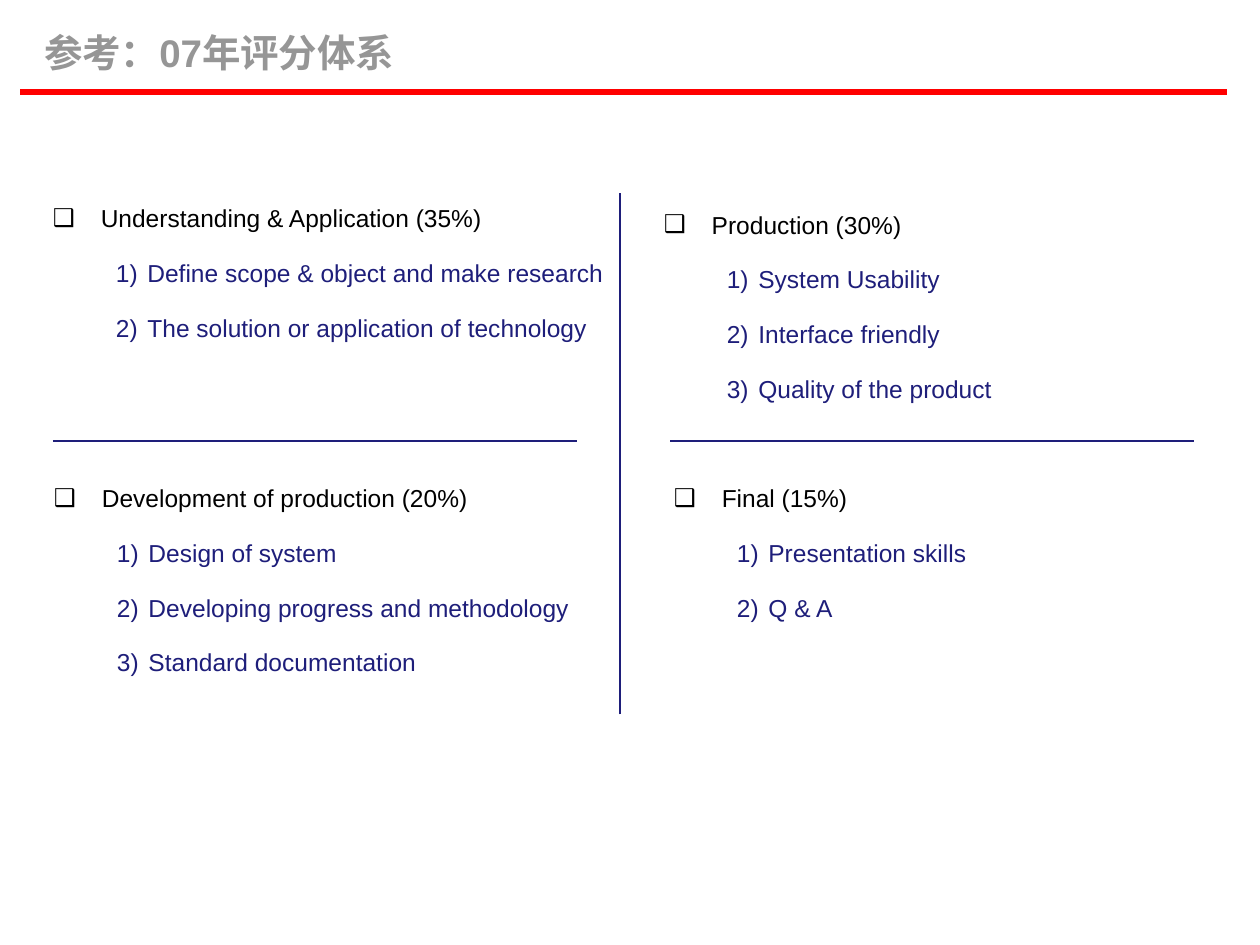
"""Build the slide that lists the four parts of the 2007 scoring system."""
import lxml.etree
import pptx
import pptx.dml.color
import pptx.enum.shapes
import pptx.enum.text
import pptx.oxml.ns
import pptx.util
from pptx.util import Inches

COLORS = {"title": "969696", "rule": "FF0000", "heading": "000000", "item": "1E1E7A"}
FONT = "Arial"
BOX_INSETS = (0.1, 0.05)
NO_INSETS = (0, 0)

SECTIONS = [
    (0.42, 1.58, 4.56, 1.26, NO_INSETS, "Understanding & Application (35%)",
     ["Define scope & object and make research", "The solution or application of technology"]),
    (0.33, 3.75, 4.75, 1.83, BOX_INSETS, "Development of production (20%)",
     ["Design of system", "Developing progress and methodology", "Standard documentation"]),
    (5.17, 1.58, 4.42, 1.75, BOX_INSETS, "Production (30%)",
     ["System Usability", "Interface friendly", "Quality of the product"]),
    (5.25, 3.75, 4.42, 1.75, BOX_INSETS, "Final (15%)",
     ["Presentation skills", "Q & A"]),
]
LINES = [
    (0.16, 0.73, 9.74, 0.73, "rule", 3),
    (4.92, 5.67, 4.92, 1.53, "item", 1),
    (0.42, 3.5, 4.58, 3.5, "item", 0.75),
    (5.32, 3.5, 9.48, 3.5, "item", 0.75),
]


def add_text_box(slide, left, top, width, height, insets, lines):
    """Add a wrapping text box with one paragraph per line and return its frame."""
    shape = slide.shapes.add_textbox(Inches(left), Inches(top), Inches(width), Inches(height))
    text_frame = shape.text_frame
    text_frame.word_wrap = True
    text_frame.margin_left = text_frame.margin_right = Inches(insets[0])
    text_frame.margin_top = text_frame.margin_bottom = Inches(insets[1])
    text_frame.text = "\n".join(lines)
    return text_frame


def format_runs(paragraph, size, color, bold=False):
    """Set the font of every run in a paragraph."""
    for run in paragraph.runs:
        run.font.name = FONT
        run.font.size = pptx.util.Pt(size)
        run.font.bold = bold
        run.font.color.rgb = pptx.dml.color.RGBColor.from_string(COLORS[color])


presentation = pptx.Presentation()
presentation.slide_width = Inches(10)
presentation.slide_height = Inches(7.5)
slide = presentation.slides.add_slide(presentation.slide_layouts[6])
qn = pptx.oxml.ns.qn

for start_x, start_y, end_x, end_y, color, width in LINES:
    connector = slide.shapes.add_connector(
        pptx.enum.shapes.MSO_CONNECTOR.STRAIGHT,
        Inches(start_x), Inches(start_y), Inches(end_x), Inches(end_y))
    connector.line.color.rgb = pptx.dml.color.RGBColor.from_string(COLORS[color])
    connector.line.width = pptx.util.Pt(width)
    lxml.etree.SubElement(connector._element.spPr, qn("a:effectLst"))

title_frame = add_text_box(slide, 0.35, 0.13, 9.3, 0.47, NO_INSETS, ["参考：07年评分体系"])
title_frame.vertical_anchor = pptx.enum.text.MSO_ANCHOR.BOTTOM
format_runs(title_frame.paragraphs[0], 22, "title", bold=True)

for left, top, width, height, insets, heading, items in SECTIONS:
    text_frame = add_text_box(slide, left, top, width, height, insets, [heading] + items)
    for index, paragraph in enumerate(text_frame.paragraphs):
        is_item = index > 0
        color = "item" if is_item else "heading"
        margin, hanging = (0.75, 0.25) if is_item else (0.38, 0.38)
        paragraph.level = int(is_item)
        paragraph.line_spacing = 1.15
        paragraph.space_before = paragraph.space_after = pptx.util.Pt(6)
        format_runs(paragraph, 14, color)
        properties = paragraph._p.get_or_add_pPr()
        properties.set("marL", str(Inches(margin)))
        properties.set("indent", str(-Inches(hanging)))
        bullet_color = lxml.etree.SubElement(properties, qn("a:buClr"))
        lxml.etree.SubElement(bullet_color, qn("a:srgbClr"), val=COLORS[color])
        lxml.etree.SubElement(properties, qn("a:buFont"), typeface=FONT)
        if is_item:
            lxml.etree.SubElement(properties, qn("a:buAutoNum"), type="arabicParenR")
        else:
            lxml.etree.SubElement(properties, qn("a:buChar"), char="❑")

presentation.save("out.pptx")
